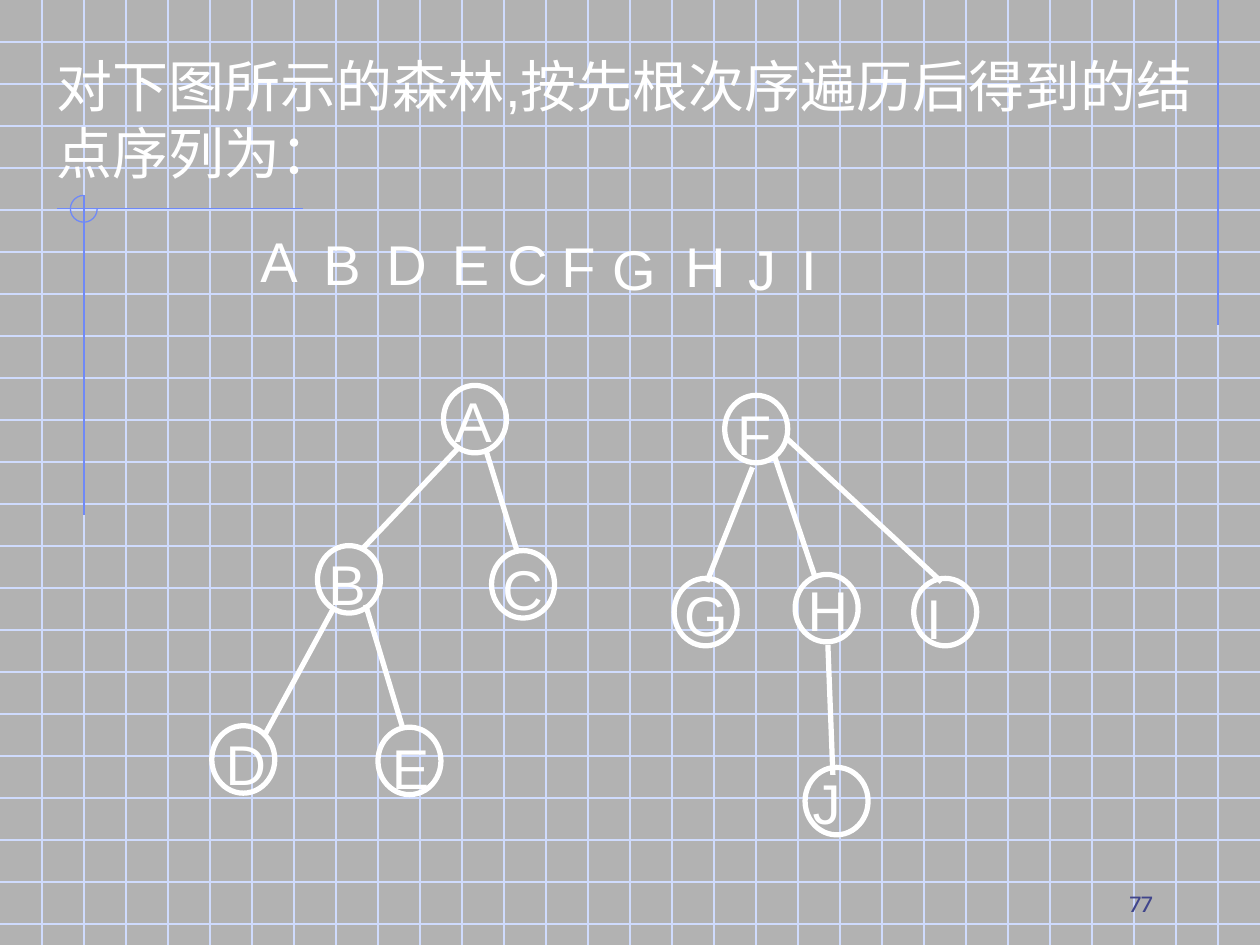
from lxml.etree import SubElement
from pptx import Presentation
from pptx.dml.color import RGBColor
from pptx.enum.shapes import MSO_CONNECTOR, MSO_SHAPE
from pptx.enum.text import MSO_ANCHOR, MSO_AUTO_SIZE, PP_ALIGN
from pptx.oxml.ns import qn
from pptx.util import Cm, Pt

COLORS = {"ground": "B2B2B2", "grid": "CFDBFD", "accent": "6F89F7",
          "ink": "FFFFFF", "number": "40458C"}
PAGE_WIDTH, PAGE_HEIGHT = 25.4, 19.05
GRID_STEP = PAGE_WIDTH / 30
NODE_WIDTH, NODE_HEIGHT = 1.27, 1.36
LABEL_WIDTHS = {"A": 1.24, "B": 1.24, "C": 1.32, "D": 1.32, "E": 1.24,
                "F": 1.19, "G": 1.37, "H": 1.32, "I": 0.81, "J": 1.07}
LABEL_HEIGHT = 1.63

# Node: left, top, then the shift of its label
NODES = {
    "A": (4.67, 0.10, -0.03, -0.10), "B": (2.13, 3.33, -0.03, -0.05),
    "C": (5.64, 3.43, -0.03, -0.05), "D": (0, 6.96, 0.03, -0.05),
    "E": (3.35, 6.99, 0.03, 0), "F": (10.34, 0.30, 0, -0.05),
    "G": (9.32, 3.99, -0.05, -0.08), "H": (11.76, 3.91, 0, -0.10),
    "I": (14.15, 3.99, 0, -0.03), "J": (11.96, 7.80, -0.10, -0.10),
}
# Branches from parent to child: x1, y1, x2, y2
BRANCHES = [
    (4.98, 1.35, 3.05, 3.38), (2.44, 4.62, 1.07, 7.14),
    (3.10, 4.52, 3.86, 7.04), (5.54, 1.45, 6.15, 3.43),
    (10.90, 1.75, 9.98, 4.06), (11.35, 1.55, 12.17, 3.99),
    (11.56, 1.14, 14.71, 4.06), (12.42, 5.33, 12.52, 7.95),
]
# Preorder result: letter, left, top
SEQUENCE = [
    ("A", 0, 0), ("B", 1.27, 0.05), ("D", 2.54, 0.05), ("E", 3.86, 0.05),
    ("C", 4.98, 0.05), ("F", 6.07, 0.10), ("G", 7.09, 0.15),
    ("H", 8.56, 0.10), ("J", 9.83, 0.15), ("I", 10.90, 0.15),
]


def color(name):
    return RGBColor.from_string(COLORS[name])


def add_line(shapes, x1, y1, x2, y2, tint, weight):
    line = shapes.add_connector(MSO_CONNECTOR.STRAIGHT,
                                Cm(x1), Cm(y1), Cm(x2), Cm(y2))
    line.line.color.rgb = color(tint)
    line.line.width = Pt(weight)
    SubElement(line._element.spPr, qn("a:effectLst"))


def add_outline(shapes, kind, left, top, width, height, tint, weight):
    shape = shapes.add_shape(kind, Cm(left), Cm(top), Cm(width), Cm(height))
    shape.shadow.inherit = False
    shape.fill.background()
    shape.line.color.rgb = color(tint)
    shape.line.width = Pt(weight)
    return shape


def add_text(shapes, text, left, top, width, height, wrap=False,
             size=32, font="Arial", tint="ink"):
    box = shapes.add_textbox(Cm(left), Cm(top), Cm(width), Cm(height))
    frame = box.text_frame
    frame.text = text
    frame.word_wrap = wrap
    frame.auto_size = MSO_AUTO_SIZE.SHAPE_TO_FIT_TEXT
    span = frame.paragraphs[0].runs[0]
    span.font.size = Pt(size)
    span.font.name = font
    span.font.color.rgb = color(tint)
    return frame


def draw_backdrop(page, left, top, width, height):
    shapes = page.shapes.add_group_shape().shapes
    # Square grid
    for row in range(1, int(height / GRID_STEP) + 1):
        y = top + row * GRID_STEP
        add_line(shapes, left, y, left + width, y, "grid", 0.75)
    for column in range(1, 30):
        x = left + column * GRID_STEP
        add_line(shapes, x, top, x, top + height, "grid", 0.75)
    # Accent lines and the open ring where they cross
    right_x, cross_x = left + 29 * GRID_STEP, left + 2 * GRID_STEP
    add_line(shapes, right_x, top, right_x, top + 6.55, "accent", 0.75)
    add_line(shapes, left + 6.10, top + 4.21, left + 1.14, top + 4.21, "accent", 0.75)
    add_line(shapes, cross_x, top + 3.94, cross_x, top + 10.39, "accent", 0.75)
    ring = add_outline(shapes, MSO_SHAPE.ARC, left + 1.42, top + 3.94,
                       0.54, 0.54, "accent", 0.75)
    ring.adjustments[0] = 0
    ring.adjustments[1] = 162  # 270 degrees, in units of 100000/60000


def draw_forest(page, left, top):
    shapes = page.shapes.add_group_shape().shapes
    for x1, y1, x2, y2 in BRANCHES:
        add_line(shapes, left + x1, top + y1, left + x2, top + y2, "ink", 3)
    for x, y, _, _ in NODES.values():
        add_outline(shapes, MSO_SHAPE.OVAL, left + x, top + y,
                    NODE_WIDTH, NODE_HEIGHT, "ink", 3)
    for letter, (x, y, shift_x, shift_y) in NODES.items():
        add_text(shapes, letter, left + x + shift_x, top + y + shift_y,
                 LABEL_WIDTHS[letter], LABEL_HEIGHT)


def draw_sequence(page, left, top):
    for letter, x, y in SEQUENCE:
        add_text(page.shapes, letter, left + x, top + y,
                 LABEL_WIDTHS[letter], LABEL_HEIGHT)


def draw_question(page, left, top, width, height):
    add_text(page.shapes, "对下图所示的森林,按先根次序遍历后得到的结点序列为：",
             left, top, width, height, wrap=True)


def draw_page_number(page, left, top, width, height):
    frame = add_text(page.shapes, "77", left, top, width, height, wrap=True,
                     size=14, font="Karla", tint="number")
    frame.auto_size = MSO_AUTO_SIZE.NONE
    frame.vertical_anchor = MSO_ANCHOR.BOTTOM
    frame.paragraphs[0].alignment = PP_ALIGN.RIGHT


def main():
    deck = Presentation()
    deck.slide_width, deck.slide_height = Cm(PAGE_WIDTH), Cm(PAGE_HEIGHT)
    page = deck.slides.add_slide(deck.slide_layouts[6])
    page.background.fill.solid()
    page.background.fill.fore_color.rgb = color("ground")
    draw_backdrop(page, 0, 0, PAGE_WIDTH, PAGE_HEIGHT)
    draw_forest(page, 4.27, 7.67)
    draw_question(page, 0.89, 0.91, 23.93, 2.97)
    draw_sequence(page, 5, 4.45)
    draw_page_number(page, 18.21, 17.35, 5.28, 1.27)
    deck.save("out.pptx")


if __name__ == "__main__":
    main()
